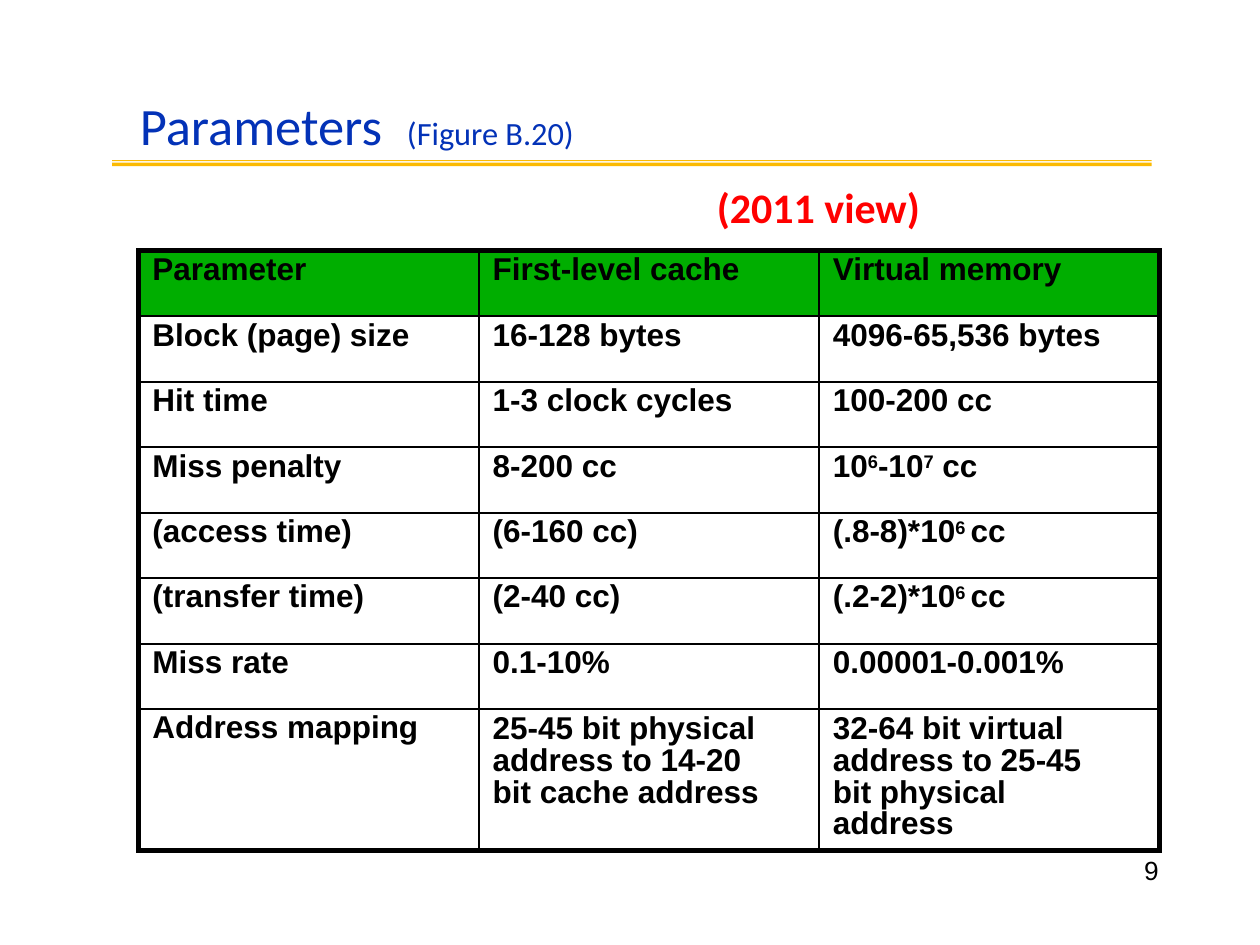
from dataclasses import dataclass

from lxml import etree
from pptx import Presentation
from pptx.dml.color import RGBColor
from pptx.enum.shapes import MSO_SHAPE
from pptx.enum.text import PP_ALIGN
from pptx.oxml.ns import qn
from pptx.util import Inches, Pt

RECTANGLE = MSO_SHAPE.RECTANGLE
CENTER = PP_ALIGN.CENTER

# Content: text between carets is superscript
TITLE = "Parameters\t"
FIGURE = "(Figure B.20)"
VIEW = "(2011 view)"
PAGE_NUMBER = "9"
ROWS = [
    ("Parameter", "First-level cache", "Virtual memory"),
    ("Block (page) size", "16-128 bytes", "4096-65,536 bytes"),
    ("Hit time", "1-3 clock cycles", "100-200 cc"),
    ("Miss penalty", "8-200 cc", "10^6^-10^7^ cc"),
    ("(access time)", "(6-160 cc)", "(.8-8)*10^6 ^cc"),
    ("(transfer time)", "(2-40 cc)", "(.2-2)*10^6 ^cc"),
    ("Miss rate", "0.1-10%", "0.00001-0.001%"),
    ("Address mapping", "25-45 bit physical address to 14-20 bit cache address",
     "32-64 bit virtual address to 25-45 bit physical address"),
]


@dataclass(frozen=True)
class Theme:
    heading_font: str = "Calibri"
    body_font: str = "Arial"
    blue: str = "0332B7"
    red: str = "FF0000"
    gold: str = "FBBA03"
    green: str = "00AE00"
    black: str = "000000"
    title_size: float = 30
    figure_size: float = 18.5
    view_size: float = 24
    table_size: float = 18
    number_size: float = 15
    outer_line: float = 3
    inner_line: float = 1.5


THEME = Theme()


def style(span, name, size, color, bold=False):
    font = span.font
    font.name, font.size, font.bold = name, Pt(size), bold
    font.color.rgb = RGBColor.from_string(color)


def add_text(page, place, text, margin=0):
    box = page.shapes.add_textbox(*map(Inches, place))
    frame = box.text_frame
    frame.word_wrap = True
    frame.margin_left = frame.margin_right = Inches(margin)
    frame.margin_top = frame.margin_bottom = Inches(margin / 2)
    frame.text = text
    return frame.paragraphs[0]


def set_border(cell, side, width):
    line = etree.SubElement(cell._tc.get_or_add_tcPr(), qn(f"a:{side}"), w=str(Pt(width)))
    fill = etree.SubElement(line, qn("a:solidFill"))
    etree.SubElement(fill, qn("a:srgbClr"), val=THEME.black)


def fill_cell(cell, text, row, column):
    is_last = row == len(ROWS) - 1
    cell.margin_left = Inches(0.11)
    cell.margin_right = Inches(0.4 if is_last and column else 0)
    cell.margin_top = Inches(0.04 if is_last and column else 0.01)
    cell.margin_bottom = 0
    para = cell.text_frame.paragraphs[0]
    if is_last and column:
        para.line_spacing = 0.9
    for index, part in enumerate(text.split("^")):
        span = para.add_run()
        span.text = part
        style(span, THEME.body_font, THEME.table_size, THEME.black, bold=True)
        if index % 2:
            span._r.get_or_add_rPr().set("baseline", "26000")

    # Thick lines on the outer edge, thin ones inside
    outer = {"lnL": column == 0, "lnR": column == len(ROWS[0]) - 1,
             "lnT": row == 0, "lnB": is_last}
    for side, is_outer in outer.items():
        set_border(cell, side, THEME.outer_line if is_outer else THEME.inner_line)
    if row == 0:
        cell.fill.solid()
        cell.fill.fore_color.rgb = RGBColor.from_string(THEME.green)
    else:
        cell.fill.background()


def add_heading(page):
    # Double gold rule
    for top, height in ((1.29, 0.03), (1.27, 0.01)):
        rule = page.shapes.add_shape(
            RECTANGLE, *map(Inches, (0.89, top, 8.25, height)))
        rule.shadow.inherit = False
        rule.fill.solid()
        rule.fill.fore_color.rgb = RGBColor.from_string(THEME.gold)
        rule.line.fill.background()

    # Title with the figure reference at a tab stop
    para = add_text(page, (1.11, 0.74, 3.48, 0.52), TITLE)
    tabs = etree.SubElement(para._p.get_or_add_pPr(), qn("a:tabLst"))
    etree.SubElement(tabs, qn("a:tab"), pos=str(Inches(2.12)), algn="l")
    style(para.runs[0], THEME.heading_font, THEME.title_size, THEME.blue)
    figure = para.add_run()
    figure.text = FIGURE
    style(figure, THEME.heading_font, THEME.figure_size, THEME.blue)


def add_parameters(page):
    heights = [0.52] * (len(ROWS) - 1) + [1.12]
    frame = page.shapes.add_table(
        len(ROWS), len(ROWS[0]), *map(Inches, (1.1, 1.99, 8.11, sum(heights))))
    table = frame.table
    table.first_row = table.horz_banding = False
    for column in table.columns:
        column.width = Inches(2.7)
    for row, (texts, height) in enumerate(zip(ROWS, heights)):
        table.rows[row].height = Inches(height)
        for column, text in enumerate(texts):
            fill_cell(table.cell(row, column), text, row, column)


def main():
    deck = Presentation()
    deck.slide_width, deck.slide_height = Inches(10), Inches(7.5)
    page = deck.slides.add_slide(deck.slide_layouts[6])
    add_heading(page)
    add_parameters(page)

    # Page number
    para = add_text(page, (9.08, 6.79, 0.36, 0.24), PAGE_NUMBER)
    para.line_spacing = Pt(17.5)
    style(para.runs[0], THEME.body_font, THEME.number_size, THEME.black)

    # Year of the figures
    para = add_text(page, (5.54, 1.39, 1.91, 0.5), VIEW, margin=0.1)
    para.alignment = CENTER
    style(para.runs[0], THEME.heading_font, THEME.view_size, THEME.red, bold=True)
    deck.save("out.pptx")


if __name__ == "__main__":
    main()
